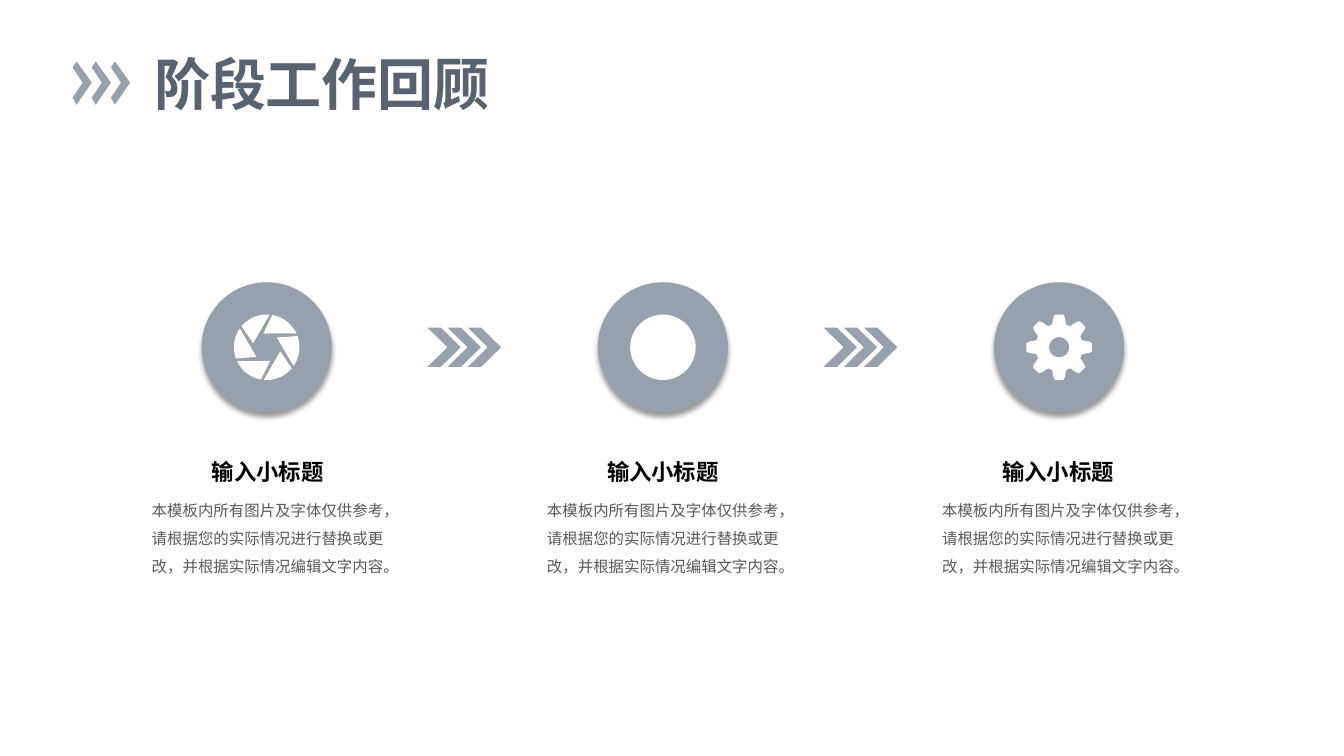
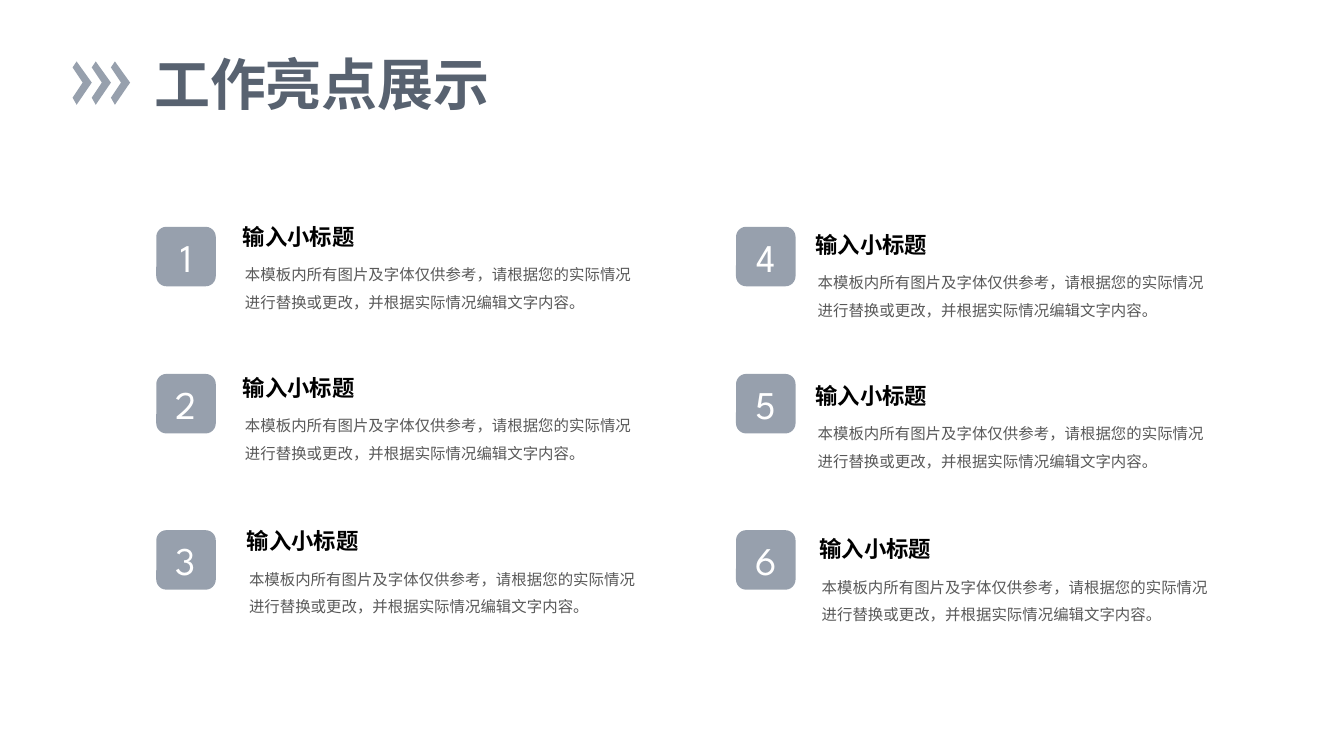
"""Build two work-report slides: a three-step review and six numbered highlights."""
from math import cos, pi, radians, sin

from lxml import etree
from pptx import Presentation
from pptx import util as u
from pptx.dml import color
from pptx.enum import lang, shapes, text
from pptx.oxml import ns

ITEM = (
    "输入小标题",
    "本模板内所有图片及字体仅供参考，请根据您的实际情况进行替换或更改，并根据实际情况编辑文字内容。",
)
REVIEW = {"title": "阶段工作回顾", "steps": [(*ITEM, icon) for icon in ("aperture", "disc", "gear")]}
HIGHLIGHTS = {"title": "工作亮点展示", "items": [ITEM] * 6}

THEME = {
    "font": "League Spartan",
    "accent": "97A0AD",
    "white": "FFFFFF",
    "title": {"size": 40, "bold": True, "color": "586270"},
    "heading": {"size": 16, "bold": True, "color": "000000"},
    "body": {"size": 11, "bold": False, "color": "595959"},
    "number": {"size": 28, "bold": False, "color": "FFFFFF"},
}
MARGINS = ("margin_left", "margin_top", "margin_right", "margin_bottom")
SIZE = (13.33, 7.5)
STEP_PITCH = 3.93
CIRCLE = {"left": 2, "top": 2.8, "size": 1.29}
ICON_RADIUS = 0.325
BADGE = {"lefts": (1.55, 7.3), "tops": (2.25, 3.71, 5.26), "size": 0.59}
HIGHLIGHT_TEXT = {"places": ((2.31, 2.16), (2.31, 3.66), (2.35, 5.18)), "shift": (5.68, 0.08)}
TITLE_ARROW = ((0, 0.06), (0.04, 0), (0.19, 0.21), (0.04, 0.43), (0, 0.36), (0.1, 0.21))


def paint(shape, fill):
    shape.shadow.inherit = False
    shape.fill.solid()
    shape.fill.fore_color.rgb = color.RGBColor.from_string(fill)
    shape.line.fill.background()
    return shape


def add_preset(page, kind, at, fill, adjust=None):
    shape = paint(page.shapes.add_shape(kind, *map(u.Inches, at)), fill)
    if adjust is not None:
        shape.adjustments[0] = adjust
    return shape


def add_outline(page, contours, fill):
    contours = [[(u.Inches(x), u.Inches(y)) for x, y in contour] for contour in contours]
    builder = page.shapes.build_freeform(*contours[0][0])
    for index, contour in enumerate(contours):
        if index:
            builder.move_to(*contour[0])
        builder.add_line_segments(contour[1:], close=True)
    return paint(builder.convert_to_shape(), fill)


def write(frame, words, style, align=text.PP_ALIGN.LEFT, spacing=1.0):
    para = frame.paragraphs[0]
    para.alignment, para.line_spacing = align, spacing
    span = para.add_run()
    span.text = words
    look = THEME[style]
    values = {
        "name": THEME["font"],
        "size": u.Pt(look["size"]),
        "bold": look["bold"],
        "language_id": lang.MSO_LANGUAGE_ID.SIMPLIFIED_CHINESE,
    }
    for name, value in values.items():
        setattr(span.font, name, value)
    span.font.color.rgb = color.RGBColor.from_string(look["color"])
    etree.SubElement(span.font._element, ns.qn("a:ea"), typeface=THEME["font"])


def add_text(page, at, words, style, wrap=True, margins=(0.1, 0.05), **layout):
    frame = page.shapes.add_textbox(*map(u.Inches, at)).text_frame
    frame.word_wrap = wrap
    frame.auto_size = text.MSO_AUTO_SIZE.SHAPE_TO_FIT_TEXT
    for name, value in zip(MARGINS, margins * 2):
        setattr(frame, name, u.Inches(value))
    write(frame, words, style, **layout)


def add_entry(page, left, top, width, inset, entry, align):
    heading, body = entry
    add_text(page, (left, top, width, 0.37), heading, "heading", align=align)
    body_at = (left + inset, top + 0.35, width - 2 * inset, 0.59)
    add_text(page, body_at, body, "body", margins=(0.07, 0.03), align=align, spacing=1.5)


def add_page(deck, title):
    page = deck.slides.add_slide(deck.slide_layouts[6])
    for index in range(3):
        left = 0.72 + 0.19 * index
        add_outline(page, [[(left + x, 0.61 + y) for x, y in TITLE_ARROW]], THEME["accent"])
    add_text(page, (1.43, 0.44, 3.57, 0.77), title, "title", wrap=False)
    return page


def arc(center, radius, angles):
    x, y = center
    return [(x + radius * cos(radians(a)), y + radius * sin(radians(a))) for a in angles]


def aperture(center):
    return [
        arc(center, ICON_RADIUS, range(turn - 85, turn - 141, -5)) + arc(center, 0.14, [turn - 163.5])
        for turn in range(0, 360, 60)
    ]


def gear(center):
    x, y = center
    tooth = ((-0.07, 0.225), (-0.055, 0.3), (-0.04, 0.325), (0.04, 0.325), (0.055, 0.3), (0.07, 0.225))
    rim = []
    for index in range(8):
        turn = index * pi / 4
        rim += [(x + r * cos(turn) - s * sin(turn), y + r * sin(turn) + s * cos(turn)) for s, r in tooth]
    rim.sort(key=lambda point: angle_of(point, center))
    return [rim, arc(center, 0.1, range(360, 0, -10))]


def angle_of(point, center):
    dx, dy = point[0] - center[0], point[1] - center[1]
    return (1 - dx / (dx * dx + dy * dy) ** 0.5) * (1 if dy >= 0 else -1)


def add_icon(page, name, center):
    if name == "disc":
        side = 2 * ICON_RADIUS
        at = (center[0] - ICON_RADIUS, center[1] - ICON_RADIUS, side, side)
        add_preset(page, shapes.MSO_SHAPE.OVAL, at, THEME["white"])
    else:
        add_outline(page, {"aperture": aperture, "gear": gear}[name](center), THEME["white"])


def add_shadow(shape):
    effects = shape._element.spPr.find(ns.qn("a:effectLst"))
    shade = etree.SubElement(
        effects, ns.qn("a:outerShdw"), blurRad=str(u.Pt(4)), dist=str(u.Pt(3)), dir="5400000",
        algn="t", rotWithShape="0",
    )
    tint = etree.SubElement(shade, ns.qn("a:srgbClr"), val="000000")
    etree.SubElement(tint, ns.qn("a:alpha"), val="40000")


def build_review(deck):
    page = add_page(deck, REVIEW["title"])
    size = CIRCLE["size"]
    middle = CIRCLE["top"] + size / 2
    for index, (heading, body, icon) in enumerate(REVIEW["steps"]):
        left = CIRCLE["left"] + STEP_PITCH * index
        at = (left, CIRCLE["top"], size, size)
        add_shadow(add_preset(page, shapes.MSO_SHAPE.OVAL, at, THEME["accent"]))
        add_icon(page, icon, (left + size / 2, middle))
        add_entry(page, 1.39 + 3.92 * index, 4.5, 2.53, 0.03, (heading, body), text.PP_ALIGN.CENTER)
        if index < len(REVIEW["steps"]) - 1:
            for part in range(3):
                at = (left + 2.24 + 0.2 * part, 3.25, 0.33, 0.39)
                add_preset(page, shapes.MSO_SHAPE.CHEVRON, at, THEME["accent"], 0.6)


def build_highlights(deck):
    page = add_page(deck, HIGHLIGHTS["title"])
    size = BADGE["size"]
    for index, entry in enumerate(HIGHLIGHTS["items"]):
        column, row = divmod(index, len(BADGE["tops"]))
        at = (BADGE["lefts"][column], BADGE["tops"][row], size, size)
        badge = add_preset(page, shapes.MSO_SHAPE.ROUNDED_RECTANGLE, at, THEME["accent"], 0.17)
        badge.text_frame.vertical_anchor = text.MSO_ANCHOR.MIDDLE
        write(badge.text_frame, str(index + 1), "number", text.PP_ALIGN.CENTER)
        left, top = (
            start + column * shift
            for start, shift in zip(HIGHLIGHT_TEXT["places"][row], HIGHLIGHT_TEXT["shift"])
        )
        add_entry(page, left, top, 4.13, 0.05, entry, text.PP_ALIGN.LEFT)


def main():
    deck = Presentation()
    deck.slide_width, deck.slide_height = map(u.Inches, SIZE)
    build_review(deck)
    build_highlights(deck)
    deck.save("out.pptx")


if __name__ == "__main__":
    main()
